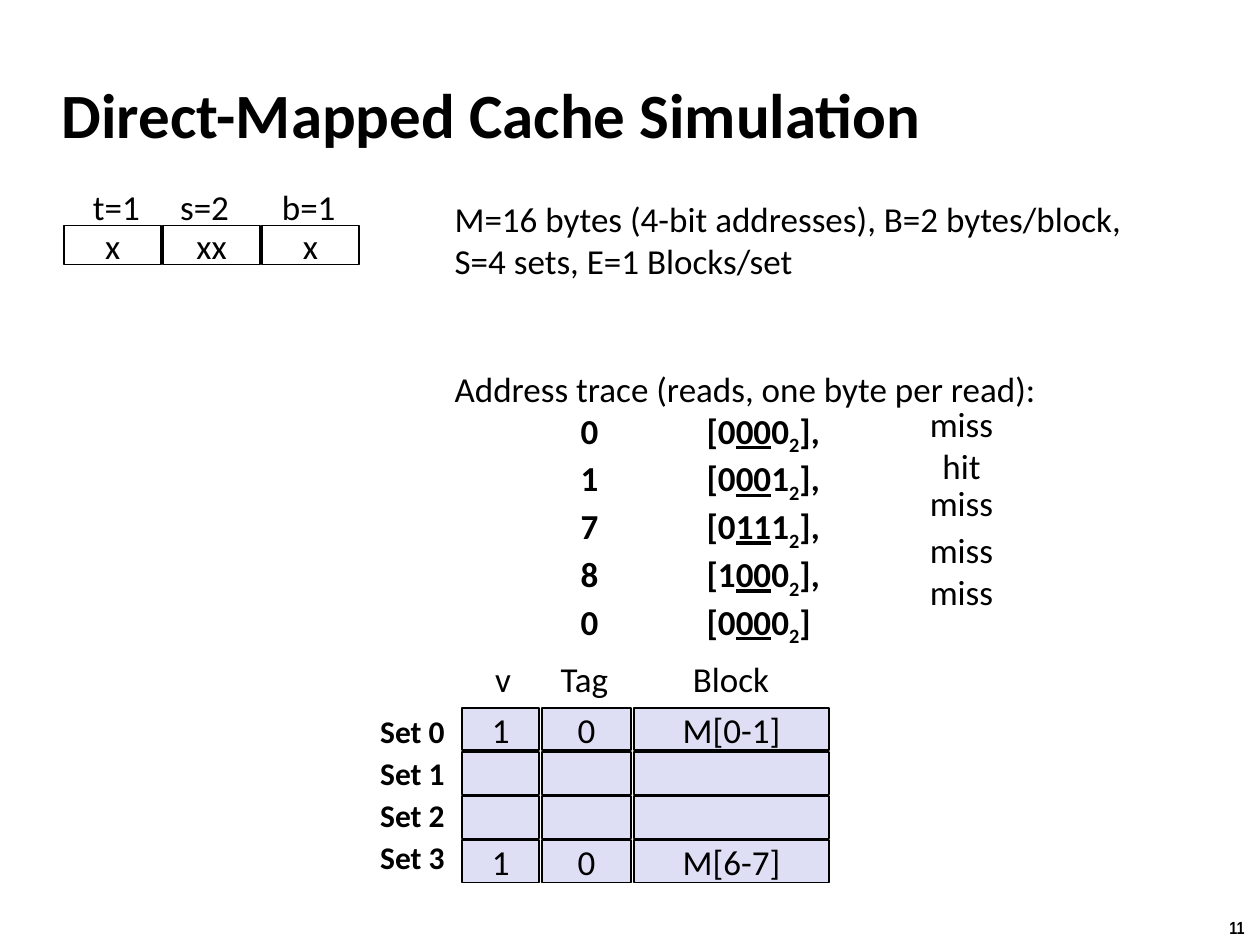
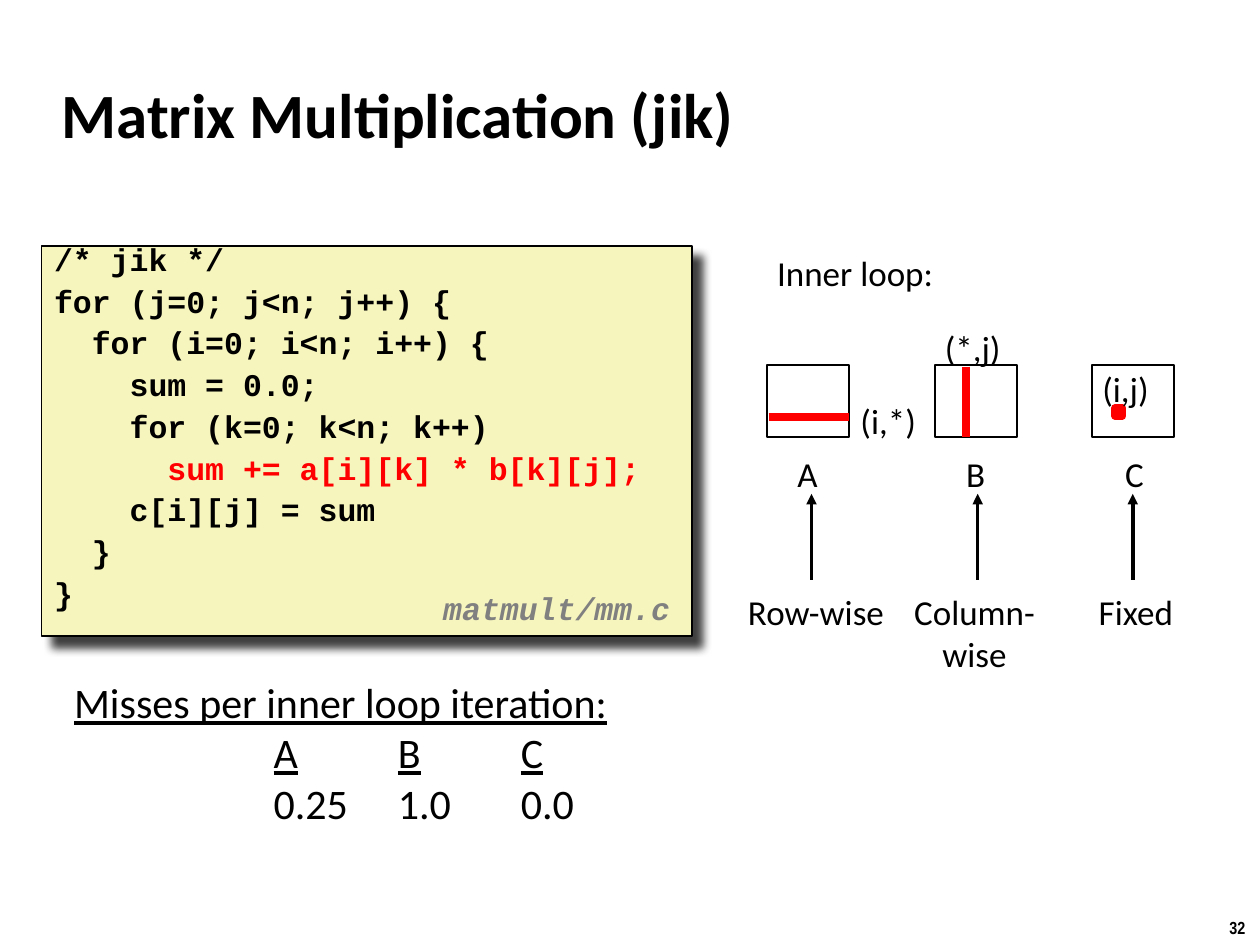
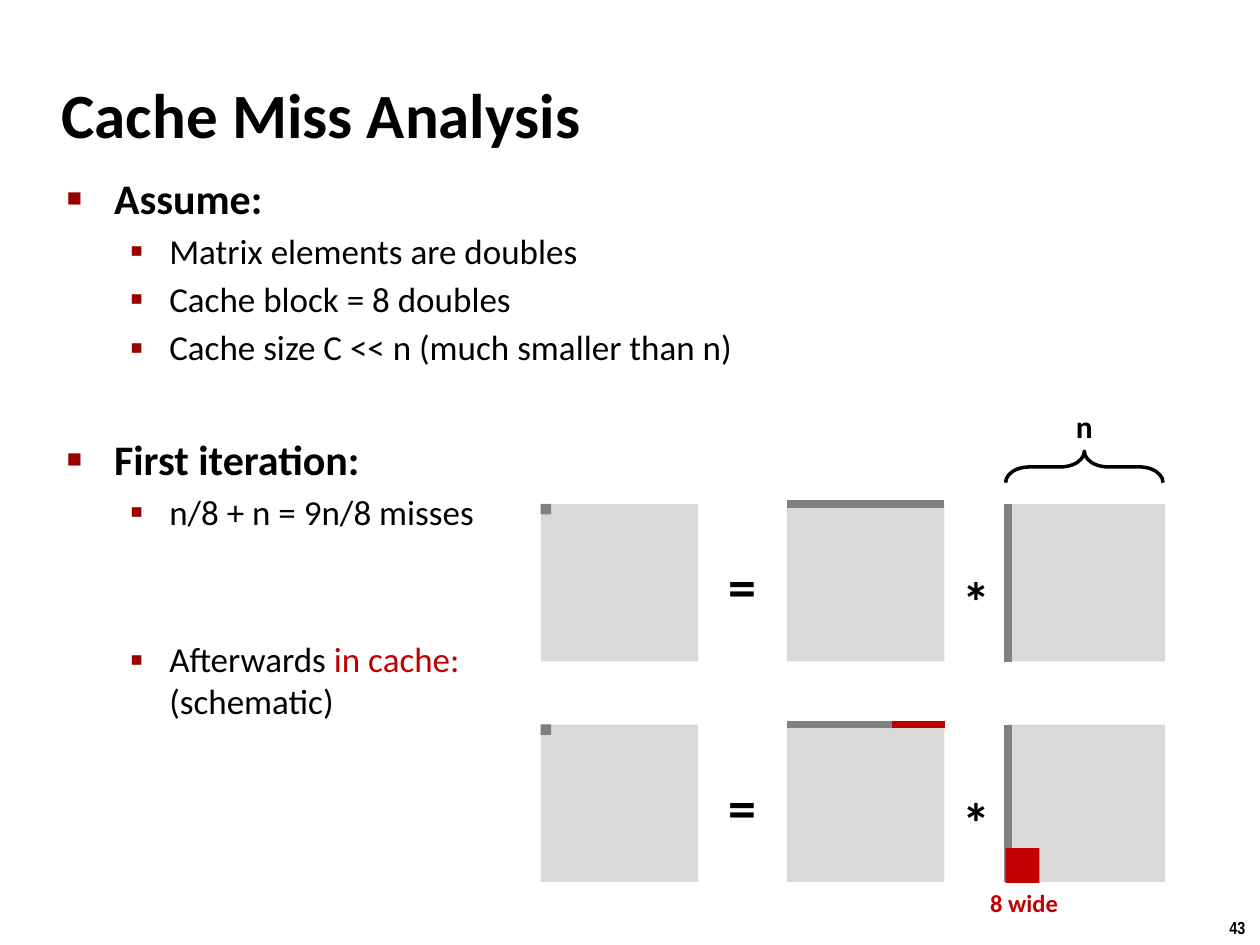
from lxml.etree import SubElement
from pptx import Presentation
from pptx.dml.color import RGBColor
from pptx.enum.shapes import MSO_CONNECTOR, MSO_SHAPE
from pptx.enum.text import MSO_ANCHOR, MSO_AUTO_SIZE, PP_ALIGN
from pptx.oxml.ns import qn
from pptx.util import Pt

# Shared look
BLACK = RGBColor(0, 0, 0)
WHITE = RGBColor(255, 255, 255)
LILAC = RGBColor(0xDE, 0xDF, 0xF5)
CREAM = RGBColor(0xF6, 0xF5, 0xBD)
RED = RGBColor(255, 0, 0)
CRIMSON = RGBColor(0xC0, 0, 0)
PALE = RGBColor(0xD9, 0xD9, 0xD9)
GRAY = RGBColor(0x80, 0x80, 0x80)
SANS, MONO, NARROW = "Calibri", "Courier New", "Arial Narrow"

# Slide 1 content: label, left, width
FIELDS = [("t=1", 46, 42, "x"), ("s=2", 95.8, 42.5, "xx"), ("b=1", 154, 45.4, "x")]
SETUP = ["M=16 bytes (4-bit addresses), B=2 bytes/block,", "S=4 sets, E=1 Blocks/set"]
TRACE = [(0, "0000"), (1, "0001"), (7, "0111"), (8, "1000"), (0, "0000")]
RESULTS = [("miss", 234), ("hit", 257.8), ("miss", 279.4), ("miss", 306), ("miss", 329.8)]
# Heading, heading left, heading width, column left, column width
COLUMNS = [("v", 275.8, 24.5, 264.2, 44), ("Tag", 313.2, 41.8, 309.6, 51),
           ("Block", 388.8, 58.3, 362.2, 111.6)]
SETS = [("1", "0", "M[0-1]"), ("", "", ""), ("", "", ""), ("1", "0", "M[6-7]")]

# Slide 2 content
CODE = ["/* jik */", "for (j=0; j<n; j++) {", "  for (i=0; i<n; i++) {",
        "    sum = 0.0;", "    for (k=0; k<n; k++)",
        "      sum += a[i][k] * b[k][j];", "    c[i][j] = sum", "  }", "}"]
HOT = 5
# Name, name left, box left, arrow x, access, access left, access width
MATRICES = [("A", 448.6, 438.5, 463.7, "Row-wise", 419.8, 92.9),
            ("B", 545, 534.2, 558.7, "Column-\nwise", 514.8, 84.2),
            ("C", 635.8, 624.2, 647.3, "Fixed", 620.6, 56.9)]
INDEXES = [("(i,*)", 484.6, 224.6, 46), ("(*,j)", 532.8, 182.9, 46.8),
           ("(i,j)", 622.8, 206.6, 41)]
MISSES = [("A", "0.25"), ("B", "1.0"), ("C", "0.0")]
STOPS = [114, 185, 255.3]

# Slide 3 content: level, space before, runs
POINTS = [(0, 0, [("Assume:", BLACK)]),
          (1, 3.6, [("Matrix elements are doubles", BLACK)]),
          (1, 3.6, [("Cache block = 8 doubles", BLACK)]),
          (1, 3.6, [("Cache size C << n (much smaller than n)", BLACK)]),
          (0, 37.6, [("First iteration:", BLACK)]),
          (1, 3.6, [("n/8 + n = 9n/8 misses", BLACK)]),
          (1, 60.2, [("Afterwards ", BLACK), ("in cache:\v", CRIMSON),
                     ("(schematic)", BLACK)])]
BULLETS = [("■", 60, 27, 27, 24), ("▪", 110, 58.5, 22.5, 20)]  # char, %, margin, hang, size
SQUARES = [309, 449.6, 575.6]
SIDE = 90


def style(para, size=20, bold=False, color=BLACK, face=SANS):
    font = para.font
    font.size, font.bold, font.name = Pt(size), bold, face
    font.color.rgb = color


def paras(frame, count):
    return [frame.paragraphs[0]] + [frame.add_paragraph() for _ in range(count - 1)]


def write(frame, text, align=PP_ALIGN.LEFT, pitch=None, **look):
    lines = text.split("\n")
    for para, line in zip(paras(frame, len(lines)), lines):
        para.text, para.alignment = line, align
        if pitch:
            para.line_spacing = pitch
        style(para, **look)


def frame_at(slide, x, y, w, h):
    frame = slide.shapes.add_textbox(Pt(x), Pt(y), Pt(w), Pt(h)).text_frame
    frame.word_wrap = True
    return frame


def label(slide, text, x, y, w, h=31, **look):
    frame = frame_at(slide, x, y, w, h)
    frame.word_wrap = False
    frame.auto_size = MSO_AUTO_SIZE.SHAPE_TO_FIT_TEXT
    write(frame, text, **look)


def box(slide, x, y, w, h, fill, line=None, width=1, text=""):
    shape = slide.shapes.add_shape(MSO_SHAPE.RECTANGLE, Pt(x), Pt(y), Pt(w), Pt(h))
    shape.shadow.inherit = False
    shape.fill.solid()
    shape.fill.fore_color.rgb = fill
    if line is None:
        shape.line.fill.background()
    else:
        shape.line.color.rgb, shape.line.width = line, Pt(width)
    if text:
        shape.text_frame.word_wrap = False
        shape.text_frame.vertical_anchor = MSO_ANCHOR.MIDDLE
        write(shape.text_frame, text, PP_ALIGN.CENTER)
    return shape


def rule(slide, x1, y1, x2, y2, color, width=4.5, arrow=False):
    link = slide.shapes.add_connector(MSO_CONNECTOR.STRAIGHT, Pt(x1), Pt(y1), Pt(x2), Pt(y2))
    link.line.color.rgb, link.line.width = color, Pt(width)
    if arrow:
        SubElement(link.line._get_or_add_ln(), qn("a:tailEnd"), type="triangle")
    SubElement(link._element.spPr, qn("a:effectLst"))


def tabs(para, stops):
    group = SubElement(para._p.get_or_add_pPr(), qn("a:tabLst"))
    for stop in stops:
        SubElement(group, qn("a:tab"), pos=str(Pt(stop)), algn="l")


def bullet(para, char, percent, margin, hang):
    props = para._p.get_or_add_pPr()
    props.set("marL", str(Pt(margin)))
    props.set("indent", str(-Pt(hang)))
    SubElement(SubElement(props, qn("a:buClr")), qn("a:srgbClr"), val="990000")
    SubElement(props, qn("a:buSzPct"), val=str(percent * 1000))
    SubElement(props, qn("a:buChar"), char=char)


def add_run(para, text, under=None):
    run = para.add_run()
    run.text = text
    if under is not None:
        run.font.underline = under
    return run


def place(holder, x, y, w, h, anchor):
    holder.left, holder.top, holder.width, holder.height = Pt(x), Pt(y), Pt(w), Pt(h)
    frame = holder.text_frame
    frame.auto_size, frame.vertical_anchor = MSO_AUTO_SIZE.NONE, anchor
    return frame


def page(deck, layout, title, number):
    slide = deck.slides.add_slide(deck.slide_layouts[layout])
    frame = place(slide.shapes.title, 28, 34.6, 597.6, 59.8, MSO_ANCHOR.MIDDLE)
    write(frame, title, size=36, bold=True)
    label(slide, str(number), 695.5, 520.6, 24.5, 19.4, size=10, bold=True, face=NARROW)
    return slide


def cache(deck):
    slide = page(deck, 5, "Direct-Mapped Cache Simulation", 11)

    # Address fields
    for i, (name, x, w, bits) in enumerate(FIELDS):
        label(slide, name, x, 102.2, w)
        box(slide, 36.7 + 56.5 * i, 128.9, 55.4, 22.3, WHITE, BLACK, text=bits)

    # Setup and address trace
    frame = frame_at(slide, 252.7, 109.4, 485.3, 249)
    lines = paras(frame, len(SETUP) + 1 + len(TRACE))
    heads = SETUP + ["Address trace (reads, one byte per read):"]
    for para, text in zip(lines, heads):
        para.text = text
        style(para)
    lines[len(SETUP)].space_before = Pt(48.8)
    for i, (para, (num, bits)) in enumerate(zip(lines[len(heads):], TRACE)):
        tabs(para, [72, 144])
        style(para, bold=True)
        add_run(para, f"\t{num}\t[{bits[0]}")
        add_run(para, bits[1:3], True)
        add_run(para, bits[3])
        add_run(para, "2")._r.get_or_add_rPr().set("baseline", "-25000")
        add_run(para, "]" if i == len(TRACE) - 1 else "],")
    for text, y in RESULTS:
        x, w = (531.4, 36.7) if text == "hit" else (524.2, 51)
        label(slide, text, x, y, w, 24.5, pitch=0.65)

    # Cache contents
    for head, x, w, _, _ in COLUMNS:
        label(slide, head, x, 372.2, w)
    for i, row in enumerate(SETS):
        label(slide, f"Set {i}", 210.2, 403.2 + 24 * i, 51.8, 28.8, size=18, bold=True)
        for text, (_, _, _, x, w) in zip(row, COLUMNS):
            box(slide, x, 404.6 + 25.2 * i, w, 24.2, LILAC, BLACK, text=text)


def matrix(deck):
    slide = page(deck, 5, "Matrix Multiplication (jik)", 32)

    # Code panel
    panel = box(slide, 23.8, 140.4, 371.5, 223.2, CREAM, BLACK)
    glow = SubElement(panel._element.spPr.find(qn("a:effectLst")), qn("a:outerShdw"),
                      blurRad=str(Pt(5)), dist=str(Pt(8.5)), dir="2700000",
                      algn="tl", rotWithShape="0")
    tint = SubElement(glow, qn("a:srgbClr"), val="000000")
    SubElement(tint, qn("a:alpha"), val="75000")
    frame = panel.text_frame
    frame.vertical_anchor = MSO_ANCHOR.TOP
    write(frame, "\n".join(CODE), pitch=0.65, size=18, bold=True, face=MONO)
    for para in frame.paragraphs[1:]:
        para.space_before = Pt(9.8)
    frame.paragraphs[HOT].font.color.rgb = RED
    label(slide, "matmult/mm.c", 246.2, 334.8, 149.8, 28, pitch=0.94,
          size=18, bold=True, color=GRAY, face=MONO)
    for para in slide.shapes[-1].text_frame.paragraphs:
        para.font.italic = True

    # Inner loop access patterns
    label(slide, "Inner loop:", 437, 140.4, 104.4)
    for name, left, x, mid, access, side, w in MATRICES:
        box(slide, x, 208.8, 46.8, 41, WHITE, BLACK)
        label(slide, name, left, 254.9, 26)
        label(slide, access, side, 334, w, align=PP_ALIGN.CENTER)
        rule(slide, mid, 331.2, mid, 282.2, BLACK, 2, True)
    rule(slide, 552.2, 209.5, 552.2, 249.8, RED)
    rule(slide, 439.2, 238.3, 485.3, 238.3, RED)
    box(slide, 637.2, 233.3, 4.3, 4.3, RED, RED, 4.5)
    for text, x, y, w in INDEXES:
        label(slide, text, x, y, w)

    # Miss counts
    frame = frame_at(slide, 35.3, 383, 429, 96.5)
    head, names, rates = paras(frame, 3)
    style(head, 24)
    add_run(head, "Misses per inner loop iteration:", True)
    for para, col in ((names, 0), (rates, 1)):
        tabs(para, STOPS)
        style(para, 24)
        for pair in MISSES:
            add_run(para, "\t", False)
            add_run(para, pair[col], col == 0)


def analysis(deck):
    slide = page(deck, 1, "Cache Miss Analysis", 43)

    # Bullet list
    frame = place(slide.placeholders[1], 31, 95, 622, 240.5, MSO_ANCHOR.TOP)
    for para, (level, gap, runs) in zip(paras(frame, len(POINTS)), POINTS):
        char, percent, margin, hang, size = BULLETS[level]
        para.level = level
        bullet(para, char, percent, margin, hang)
        para.space_before = Pt(gap)
        style(para, size, level == 0)
        for i, (text, color) in enumerate(runs):
            if text.endswith("\v"):
                add_run(para, text[:-1]).font.color.rgb = color
                para.add_line_break()
            else:
                add_run(para, text).font.color.rgb = color

    # Matrix products, before and after
    out, left, right = SQUARES
    for top in (288, 414):
        for x in SQUARES:
            box(slide, x, top, SIDE, SIDE, PALE)
        rule(slide, left, top, left + SIDE, top, GRAY)
        rule(slide, right + 0.4, top, right + 0.4, top + SIDE, GRAY)
        box(slide, out, top, 6, 6, GRAY)
        label(slide, "=", 409, top + 23.8, 31, 46, size=32, bold=True)
        label(slide, "*", 543.2, top + 32.4, 31, 46, size=32, bold=True)

    # Width of the matrix
    brace = slide.shapes.add_shape(MSO_SHAPE.LEFT_BRACE, Pt(610.6), Pt(221.8), Pt(18), Pt(SIDE))
    brace.rotation = 90
    brace.adjustments[0] = 0.75
    brace.shadow.inherit = False
    brace.fill.background()
    brace.line.color.rgb, brace.line.width = BLACK, Pt(2)
    label(slide, "n", 607.7, 229, 24.5, 28.8, size=18, bold=True)

    # Parts left in cache
    rule(slide, 509.8, 414, 540, 414, CRIMSON)
    box(slide, 574.6, 484.6, 19.4, 20, CRIMSON)
    label(slide, "8 wide", 558.7, 504, 53.3, 24.5, size=14, bold=True, color=CRIMSON)


def main():
    deck = Presentation()
    deck.slide_width, deck.slide_height = Pt(720), Pt(540)
    for build in (cache, matrix, analysis):
        build(deck)
    deck.save("out.pptx")


if __name__ == "__main__":
    main()
